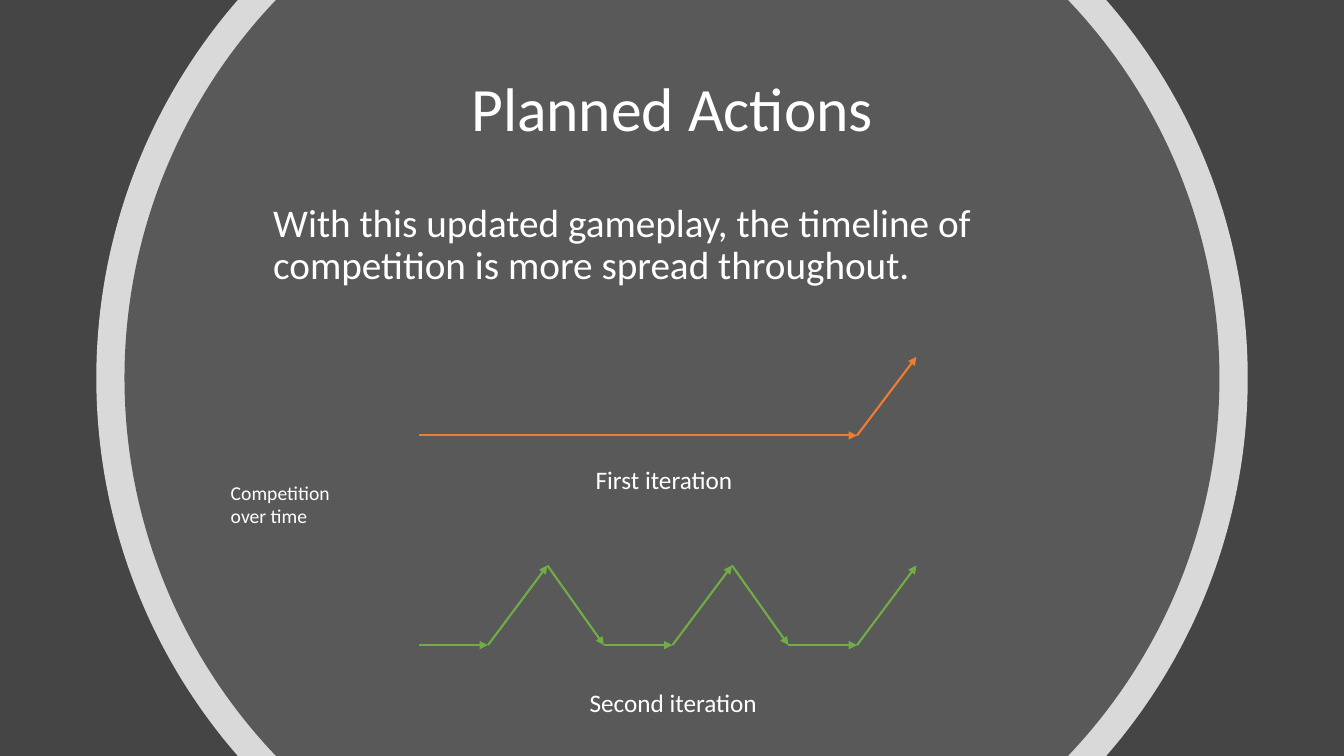
from itertools import pairwise
from math import asin, cos, pi, sin, tan

from lxml import etree
from pptx import Presentation
from pptx.dml.color import RGBColor
from pptx.enum.shapes import MSO_CONNECTOR
from pptx.enum.text import MSO_ANCHOR, MSO_AUTO_SIZE, PP_ALIGN
from pptx.oxml.ns import qn
from pptx.util import Inches, Pt

WIDTH, HEIGHT = 13.33, 7.5


def paint(color_format, color):
    color_format.rgb = RGBColor.from_string(color)


def write(shape, text, size):
    paragraph = shape.text_frame.paragraphs[0]
    paragraph.text = text
    paragraph.font.size = Pt(size)
    paragraph.font.name = "Calibri"
    paint(paragraph.font.color, "FFFFFF")
    return paragraph


presentation = Presentation()
presentation.slide_width = Inches(WIDTH)
presentation.slide_height = Inches(HEIGHT)
slide = presentation.slides.add_slide(presentation.slide_layouts[1])
slide.background.fill.solid()
paint(slide.background.fill.fore_color, "454545")

# Ring and disc: circles cut off at the top and bottom of the slide
for radius, color, opacity in [(5.71, "FFFFFF", 80), (5.43, "595959", 100)]:
    reach = asin(HEIGHT / 2 / radius)
    angles = [middle + turn for middle in (0, pi) for turn in (-reach, 0, reach)]
    points = [(Inches(WIDTH / 2 + radius * cos(angle)),
               Inches(HEIGHT / 2 + radius * sin(angle))) for angle in angles]
    builder = slide.shapes.build_freeform(*points[0])
    builder.add_line_segments(points[1:], close=True)
    disc = builder.convert_to_shape()
    disc.shadow.inherit = False
    disc.line.fill.background()
    disc.fill.solid()
    paint(disc.fill.fore_color, color)
    if opacity < 100:
        color_element = disc._element.spPr.find(".//" + qn("a:srgbClr"))
        etree.SubElement(color_element, qn("a:alpha"), val=str(opacity * 1000))

    # Bend every segment but the straight bottom edge into an arc
    segments = list(disc._element.iter(qn("a:lnTo")))
    bottom_edge = segments[2]
    for segment, (start, end) in zip(segments, pairwise(angles)):
        if segment is bottom_edge:
            continue
        handle = 4 / 3 * tan((end - start) / 4)
        segment.tag = qn("a:cubicBezTo")
        for position, (angle, pull) in enumerate([(start, handle), (end, -handle)]):
            x = WIDTH / 2 + radius * (cos(angle) - pull * sin(angle))
            y = HEIGHT / 2 + radius * (sin(angle) + pull * cos(angle))
            control = etree.SubElement(segment, qn("a:pt"),
                                       x=str(Inches(x) - disc.left),
                                       y=str(Inches(y) - disc.top))
            segment.insert(position, control)

# Title and body, brought in front of the disc
title, body = slide.placeholders
for placeholder, (left, top, width, height) in [
    (title, (2.53, 0.4, 8.28, 1.41)),
    (body, (2.61, 1.97, 8.92, 2.16)),
]:
    placeholder.left, placeholder.top = Inches(left), Inches(top)
    placeholder.width, placeholder.height = Inches(width), Inches(height)
    placeholder.text_frame.auto_size = MSO_AUTO_SIZE.NONE
    slide.shapes._spTree.append(placeholder._element)

title.text_frame.vertical_anchor = MSO_ANCHOR.MIDDLE
paragraph = write(title, "Planned Actions", 44)
paragraph.alignment = PP_ALIGN.CENTER
paragraph.line_spacing = 0.9

properties = body.text_frame.paragraphs[0]._p.get_or_add_pPr()
properties.set("marL", "0")
properties.set("indent", "0")
etree.SubElement(properties, qn("a:buNone"))
paragraph = write(body, "With this updated gameplay, the timeline of "
                        "competition is more spread throughout.", 28)
paragraph.line_spacing = 0.9
paragraph.space_before = Pt(0)

# Timelines: chains of arrows through low and high points
START, FLAT, RISE, PERIOD = 4.16, 0.68, 0.59, 1.83
END = START + 2 * PERIOD
first_iteration = [(START, 4.32), (END + FLAT, 4.32), (END + FLAT + RISE, 3.54)]
second_iteration = []
for cycle in range(3):
    left = START + cycle * PERIOD
    second_iteration += [(left, 6.4), (left + FLAT, 6.4), (left + FLAT + RISE, 5.61)]

for timeline, color in [(second_iteration, "70AD47"), (first_iteration, "ED7D31")]:
    for tail, head in pairwise(timeline):
        arrow = slide.shapes.add_connector(
            MSO_CONNECTOR.STRAIGHT, *map(Inches, tail + head))
        arrow.line.width = Pt(1.5)
        paint(arrow.line.color, color)
        etree.SubElement(arrow.line._get_or_add_ln(), qn("a:tailEnd"), type="triangle")
        etree.SubElement(arrow._element.spPr, qn("a:effectLst"))

# Labels
for text, size, left, top, width, height, wrap in [
    ("First iteration", 18, 5.81, 4.56, 1.57, 0.4, False),
    ("Second iteration", 18, 5.75, 6.77, 1.88, 0.4, False),
    ("Competition over time", 14, 2.19, 4.72, 1.31, 0.57, True),
]:
    label = slide.shapes.add_textbox(*map(Inches, (left, top, width, height)))
    label.text_frame.word_wrap = wrap
    label.text_frame.auto_size = MSO_AUTO_SIZE.SHAPE_TO_FIT_TEXT
    write(label, text, size)

presentation.save("out.pptx")
